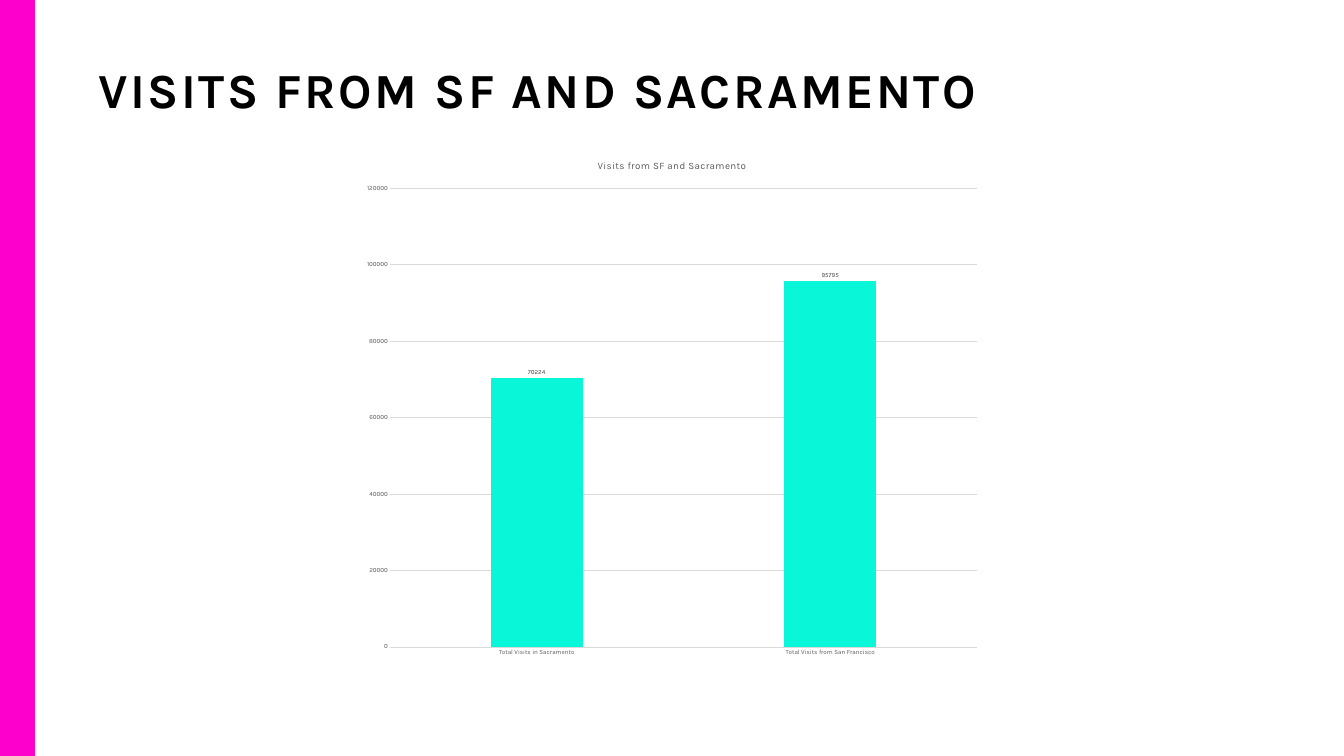
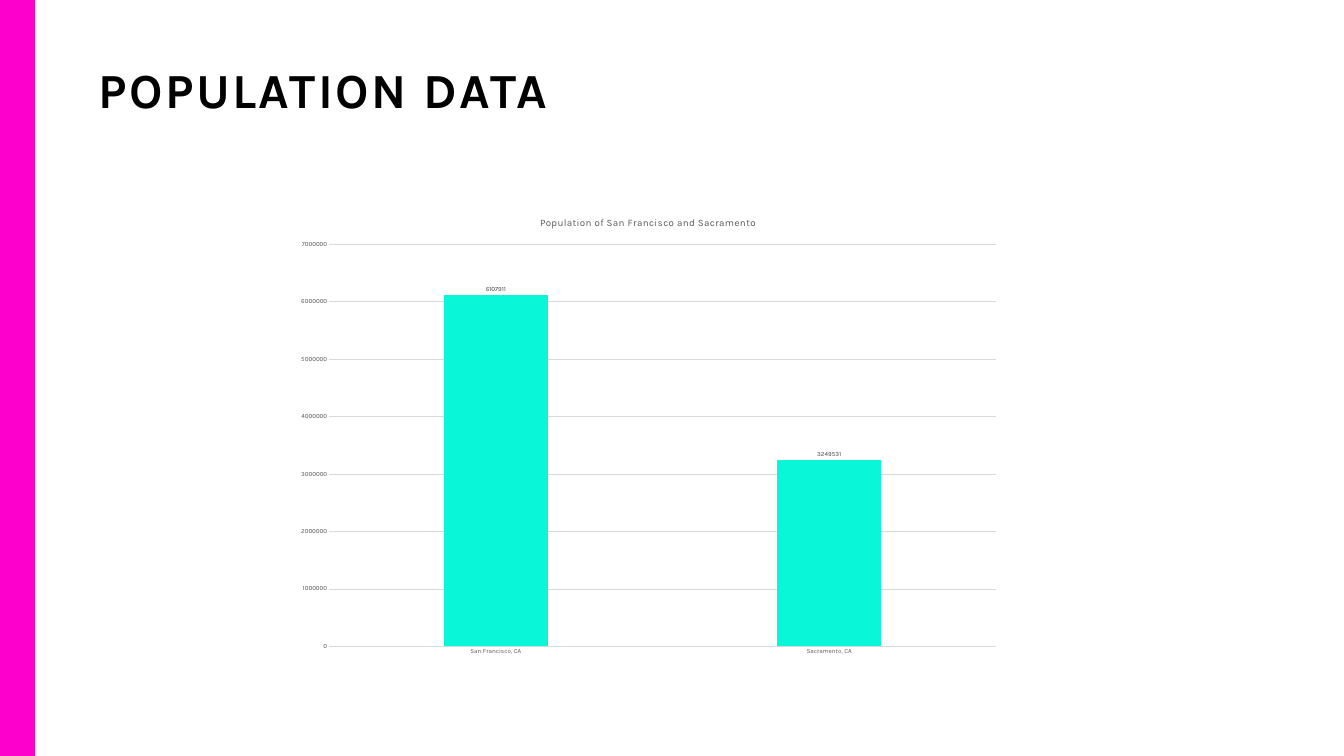
from pptx import Presentation, util as u
from pptx.chart.data import CategoryChartData
from pptx.dml.color import RGBColor
from pptx.enum import chart as ch, shapes, text
from pptx.oxml import parse_xml
from pptx.oxml.ns import nsdecls, qn

FONT = "Karla"
MAGENTA = RGBColor(0xFE, 0x00, 0xCB)
TURQUOISE = RGBColor(0x09, 0xF7, 0xD8)
BLACK = RGBColor(0, 0, 0)
LABEL_GREY = RGBColor(0x40, 0x40, 0x40)
AXIS_GREY = RGBColor(0x59, 0x59, 0x59)
GRID_GREY = RGBColor(0xD9, 0xD9, 0xD9)

SLIDE_SIZE = (26.67, 15)
BAND = (0, 0, 0.69, 15)
TITLE = (1.95, 1.39, 23.89, 2.22)

# "chart" is left, top, width, height; "plot" is the same as fractions of the chart
PAGES = [
    {
        "title": "VISITS FROM SF AND SACRAMENTO",
        "chart_title": "Visits from SF and Sacramento",
        "visits_or_people": {"Total Visits in Sacramento": 70224,
                             "Total Visits from San Francisco": 95795},
        "axis": (120000, 20000),
        "chart": (7.03, 2.86, 12.61, 10.37),
        "plot": (0.056, 0.084, 0.924, 0.878),
    },
    {
        "title": "POPULATION DATA",
        "chart_title": "Population of San Francisco and Sacramento",
        "visits_or_people": {"San Francisco, CA": 6107911,
                             "Sacramento, CA": 3249531},
        "axis": (7000000, 1000000),
        "chart": (5.67, 4.02, 14.38, 9.17),
        "plot": (0.06, 0.09, 0.92, 0.87),
    },
]


def inches(numbers):
    return [u.Inches(number) for number in numbers]


def style(font, size, colour, bold=False):
    font.name = FONT
    font.size = u.Pt(size)
    font.bold = bold
    font.color.rgb = colour


def track(element, points):
    """Set the letter spacing of every run inside the element."""
    for properties in element.iter(qn("a:rPr")):
        properties.set("spc", str(round(points * 100)))


def add_band(page, layout):
    """Draw the side band and move it to the layout that all slides share."""
    band = page.shapes.add_shape(shapes.MSO_SHAPE.RECTANGLE, *inches(BAND))
    band.shadow.inherit = False
    band.fill.solid()
    band.fill.fore_color.rgb = MAGENTA
    band.line.fill.background()
    layout.shapes.element.append(band.element)


def fill_title(page, words):
    box = page.shapes.title
    box.left, box.top, box.width, box.height = inches(TITLE)
    frame = box.text_frame
    frame.margin_left = frame.margin_right = u.Inches(0.01)
    frame.margin_top = frame.margin_bottom = u.Inches(0.01)
    frame.word_wrap = True
    frame.auto_size = text.MSO_AUTO_SIZE.NONE
    frame.vertical_anchor = text.MSO_ANCHOR.TOP
    para = frame.paragraphs[0]
    para.alignment = text.PP_ALIGN.LEFT
    para.line_spacing = u.Pt(68)
    span = para.add_run()
    span.text = words
    style(span.font, 70, BLACK, bold=True)
    track(box.element, 3.5)


def place_plot(chart, fractions):
    """Fix the inner plot area inside the chart."""
    area = chart.element.find(".//" + qn("c:plotArea"))
    for old in area.findall(qn("c:layout")):
        area.remove(old)
    sides = "".join(f'<c:{side} val="{value}"/>'
                    for side, value in zip("xywh", fractions))
    area.insert(0, parse_xml(
        f'<c:layout {nsdecls("c")}><c:manualLayout><c:layoutTarget val="inner"/>'
        f'<c:xMode val="edge"/><c:yMode val="edge"/>{sides}'
        '</c:manualLayout></c:layout>'))


def style_axes(chart, maximum, step):
    for axis in (chart.category_axis, chart.value_axis):
        axis.major_tick_mark = axis.minor_tick_mark = ch.XL_TICK_MARK.NONE
        style(axis.tick_labels.font, 9, AXIS_GREY)
    values = chart.value_axis
    values.minimum_scale, values.maximum_scale, values.major_unit = 0, maximum, step
    values.format.line.fill.background()
    for line in (chart.category_axis.format.line, values.major_gridlines.format.line):
        line.color.rgb = GRID_GREY
        line.width = u.Pt(0.75)


def add_columns(page, content):
    data = CategoryChartData()
    data.categories = list(content["visits_or_people"])
    data.add_series("Series 1", list(content["visits_or_people"].values()))
    chart = page.shapes.add_chart(ch.XL_CHART_TYPE.COLUMN_CLUSTERED,
                                  *inches(content["chart"]), data).chart
    style(chart.font, 10, BLACK)
    chart.has_legend = False

    chart.has_title = True
    span = chart.chart_title.text_frame.paragraphs[0].add_run()
    span.text = content["chart_title"]
    style(span.font, 14, AXIS_GREY)
    track(chart.element, 0.4)
    chart.chart_title.include_in_layout = False

    columns = chart.plots[0]
    columns.vary_by_categories = False
    columns.gap_width, columns.overlap = 219, -27
    fill = columns.series[0].format.fill
    fill.solid()
    fill.fore_color.rgb = TURQUOISE
    labels = columns.series[0].data_labels
    labels.show_value = True
    labels.position = ch.XL_LABEL_POSITION.OUTSIDE_END
    style(labels.font, 9, LABEL_GREY)

    style_axes(chart, *content["axis"])
    place_plot(chart, content["plot"])


def main():
    deck = Presentation()
    deck.slide_width, deck.slide_height = inches(SLIDE_SIZE)
    layout = deck.slide_layouts.get_by_name("Title Only")
    for number, content in enumerate(PAGES):
        page = deck.slides.add_slide(layout)
        if number == 0:
            add_band(page, layout)
        fill_title(page, content["title"])
        add_columns(page, content)
    deck.save("out.pptx")


if __name__ == "__main__":
    main()
